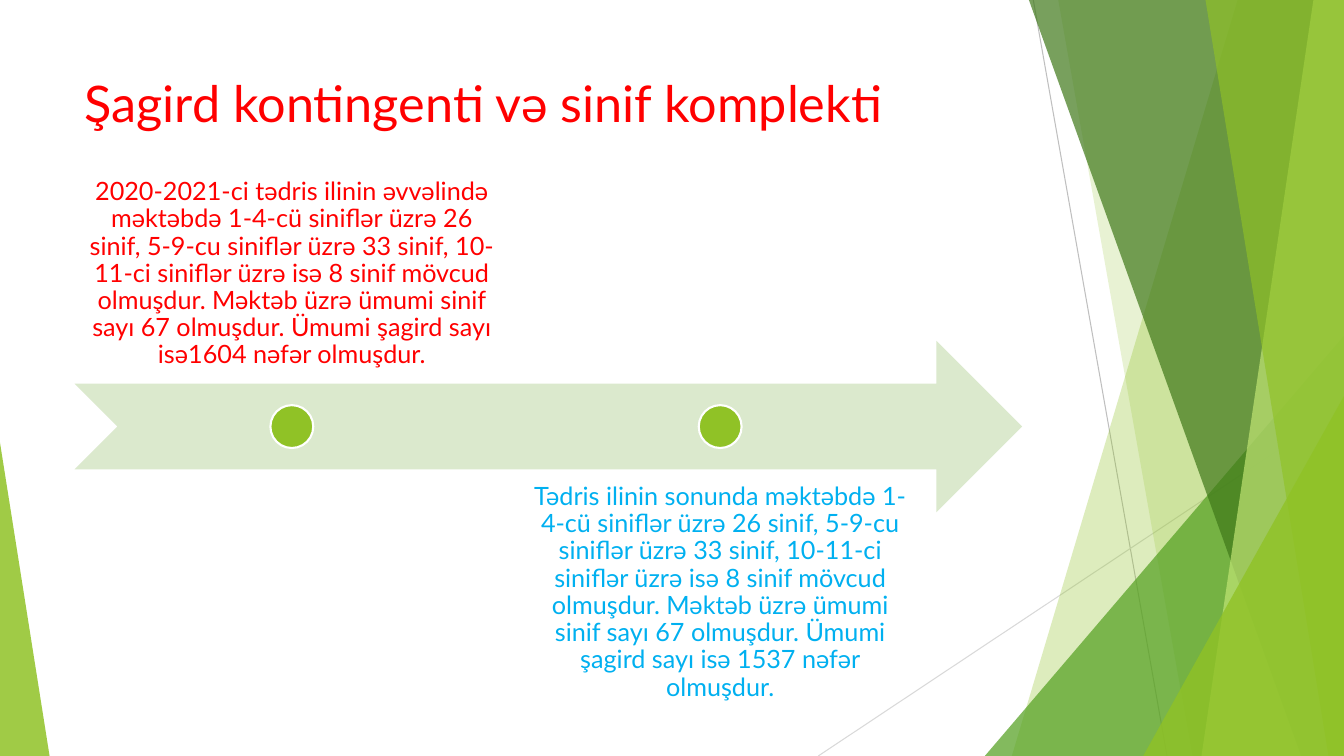
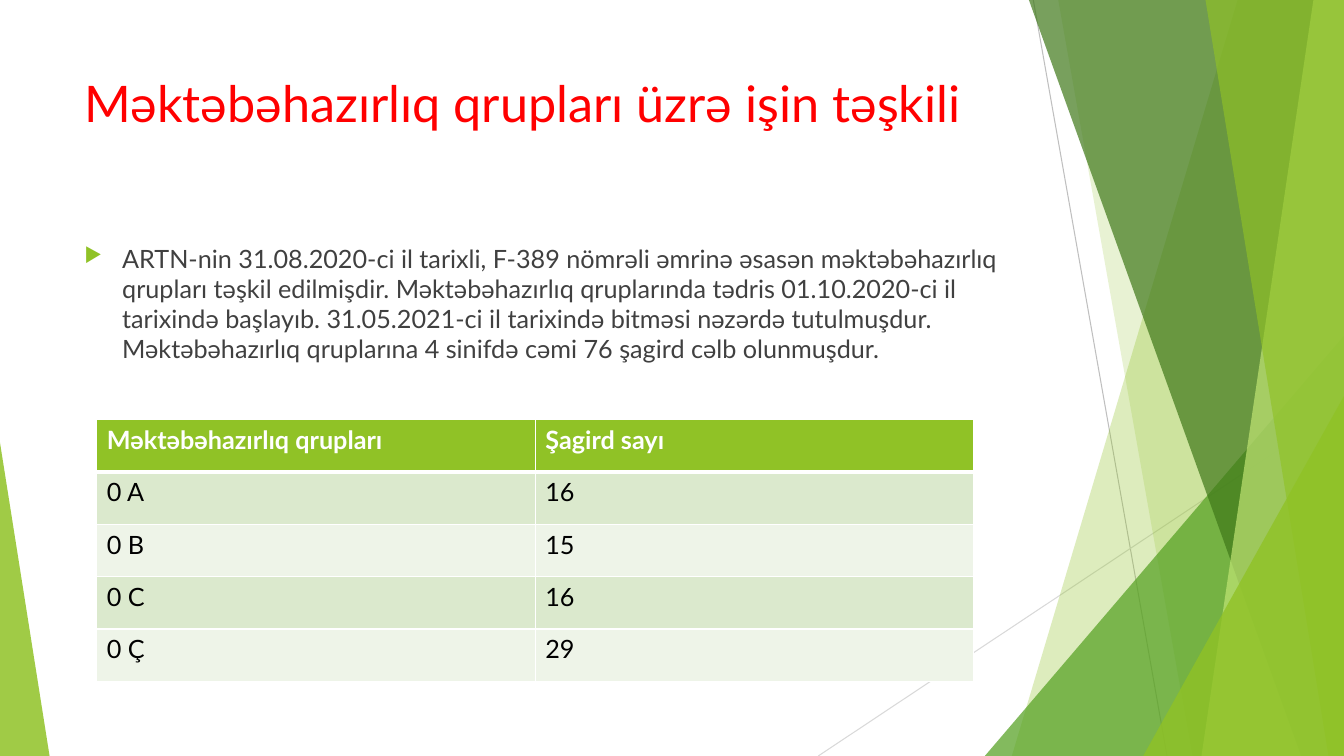
"""Build two school report slides: a class timeline and a table of preparatory groups."""
import dataclasses

import lxml.etree
import pptx
import pptx.dml.color
import pptx.enum.shapes
import pptx.enum.text
import pptx.oxml.ns
import pptx.util

Cm = pptx.util.Cm
Pt = pptx.util.Pt
qn = pptx.oxml.ns.qn
Shape = pptx.enum.shapes.MSO_SHAPE
Anchor = pptx.enum.text.MSO_ANCHOR
Align = pptx.enum.text.PP_ALIGN


@dataclasses.dataclass(frozen=True)
class Theme:
    font: str = "Lato"
    title_size: int = 36
    body_size: int = 18
    red: str = "FF0000"
    blue: str = "00B0F0"
    gray: str = "404040"
    black: str = "000000"
    white: str = "FFFFFF"
    lime: str = "90C226"
    light_lime: str = "C0E474"
    green: str = "54A021"
    dark_green: str = "3F7819"
    pale: str = "DBE9CD"
    paler: str = "EEF4E8"
    ray: str = "BFBFBF"
    light_ray: str = "D9D9D9"


THEME = Theme()
WIDTH, HEIGHT = 33.87, 19.05
MARGIN, CONTENT_WIDTH = 1.88, 23.88


def color(value):
    return pptx.dml.color.RGBColor.from_string(value)


def add_element(parent, tag, **attributes):
    return lxml.etree.SubElement(parent, qn(tag), attributes)


def write(frame, text, *, size=THEME.body_size, ink=THEME.black, bold=False,
          align=None, spacing=None, bullet=None):
    paragraph = frame.paragraphs[0]
    if bullet:
        properties = paragraph._p.get_or_add_pPr()
        indent = Cm(0.95)
        properties.set("marL", str(indent))
        properties.set("indent", str(-indent))
        bullet_color = add_element(properties, "a:buClr")
        add_element(bullet_color, "a:srgbClr", val=THEME.lime)
        add_element(properties, "a:buSzPct", val="80000")
        add_element(properties, "a:buChar", char=bullet)
    paragraph.alignment = align
    paragraph.line_spacing = spacing
    run = paragraph.add_run()
    run.text = text
    run.font.name = THEME.font
    run.font.size = Pt(size)
    run.font.bold = bold
    run.font.color.rgb = color(ink)


class Deck:
    def __init__(self):
        self.presentation = pptx.Presentation()
        self.presentation.slide_width = Cm(WIDTH)
        self.presentation.slide_height = Cm(HEIGHT)
        self.slide = None

    def start_slide(self, title):
        layout = self.presentation.slide_layouts[6]
        self.slide = self.presentation.slides.add_slide(layout)
        self.backdrop()
        self.text(title, MARGIN, 1.7, CONTENT_WIDTH, 3.66,
                  size=THEME.title_size, ink=THEME.red)

    def paint(self, shape, fill, opacity=100, outline=None):
        shape.shadow.inherit = False
        shape.fill.solid()
        shape.fill.fore_color.rgb = color(fill)
        if opacity < 100:
            fill_color = shape.element.spPr.find(qn("a:solidFill"))[0]
            add_element(fill_color, "a:alpha", val=str(opacity * 1000))
        if outline:
            shape.line.color.rgb = color(outline)
            shape.line.width = Pt(1.5)
        else:
            shape.line.fill.background()

    def shape(self, kind, left, top, width, height, fill, adjustment=None, **style):
        shape = self.slide.shapes.add_shape(
            kind, Cm(left), Cm(top), Cm(width), Cm(height))
        if adjustment is not None:
            shape.adjustments[0] = adjustment
        self.paint(shape, fill, **style)

    def facet(self, top_left, bottom_left, fill, opacity):
        builder = self.slide.shapes.build_freeform(Cm(top_left), 0)
        corners = ((WIDTH, 0), (WIDTH, HEIGHT), (bottom_left, HEIGHT))
        builder.add_line_segments([(Cm(x), Cm(y)) for x, y in corners], close=True)
        self.paint(builder.convert_to_shape(), fill, opacity)

    def corner(self, width, height, fill, opacity):
        self.shape(Shape.ISOSCELES_TRIANGLE, WIDTH - width, HEIGHT - height,
                   width, height, fill, adjustment=1, opacity=opacity)

    def line(self, start_x, start_y, end_x, end_y, ink):
        connector = self.slide.shapes.add_connector(
            pptx.enum.shapes.MSO_CONNECTOR.STRAIGHT,
            Cm(start_x), Cm(start_y), Cm(end_x), Cm(end_y))
        connector.line.color.rgb = color(ink)
        connector.line.width = Pt(0.75)
        add_element(connector._element.spPr, "a:effectLst")

    def backdrop(self):
        self.line(26.04, 0, 29.41, HEIGHT, THEME.ray)
        self.line(WIDTH, 10.24, 20.62, HEIGHT, THEME.light_ray)
        self.facet(31.19, 25.5, THEME.lime, 30)
        self.facet(26.67, 30.05, THEME.lime, 20)
        self.corner(9.05, 10.59, THEME.green, 72)
        self.facet(25.93, 32.79, THEME.dark_green, 70)
        self.facet(33.1, 30.28, THEME.light_lime, 70)
        self.facet(30.38, 33.48, THEME.lime, 65)
        self.corner(5.06, 9.07, THEME.lime, 80)
        self.shape(Shape.ISOSCELES_TRIANGLE, 0, 11.15, 1.25, HEIGHT - 11.15,
                   THEME.lime, adjustment=0, opacity=85)

    def text(self, text, left, top, width, height, anchor=Anchor.TOP,
             inset=None, **style):
        box = self.slide.shapes.add_textbox(Cm(left), Cm(top), Cm(width), Cm(height))
        frame = box.text_frame
        frame.word_wrap = True
        frame.vertical_anchor = anchor
        if inset is not None:
            frame.margin_left = frame.margin_right = Cm(inset)
            frame.margin_top = frame.margin_bottom = Cm(inset)
        write(frame, text, **style)

    def timeline(self, top, height, captions):
        middle = top + height / 2
        dot = height / 4
        self.shape(Shape.NOTCHED_RIGHT_ARROW, MARGIN, top, CONTENT_WIDTH, height,
                   THEME.pale)
        for text, left, width, ink, above in captions:
            caption_top = middle - dot - height if above else middle + dot
            self.text(text, left, caption_top, width, height,
                      anchor=Anchor.BOTTOM if above else Anchor.TOP,
                      inset=0.36, ink=ink, align=Align.CENTER, spacing=0.9)
            self.shape(Shape.OVAL, left + (width - dot) / 2, middle - dot / 2,
                       dot, dot, THEME.lime, outline=THEME.white)

    def table(self, rows, left, top, column_width, row_height):
        column_count = len(rows[0])
        table = self.slide.shapes.add_table(
            len(rows), column_count, Cm(left), Cm(top),
            Cm(column_width * column_count), Cm(row_height * len(rows))).table
        for column in table.columns:
            column.width = Cm(column_width)
        for row_index, values in enumerate(rows):
            table.rows[row_index].height = Cm(row_height)
            header = row_index == 0
            band = THEME.pale if row_index % 2 else THEME.paler
            for column_index, value in enumerate(values):
                cell = table.cell(row_index, column_index)
                cell.fill.solid()
                cell.fill.fore_color.rgb = color(THEME.lime if header else band)
                write(cell.text_frame, value, bold=header,
                      ink=THEME.white if header else THEME.black)
                self.borders(cell, top=3 if row_index == 1 else 1,
                             bottom=3 if header else 1)

    def borders(self, cell, top, bottom):
        properties = cell._tc.get_or_add_tcPr()
        sides = (("a:lnL", 1), ("a:lnR", 1), ("a:lnT", top), ("a:lnB", bottom))
        for index, (tag, width) in enumerate(sides):
            border = add_element(properties, tag, w=str(Pt(width)))
            fill = add_element(border, "a:solidFill")
            add_element(fill, "a:srgbClr", val=THEME.white)
            properties.insert(index, border)


def main():
    deck = Deck()

    deck.start_slide("Şagird kontingenti və sinif komplekti")
    deck.timeline(8.59, 4.32, [
        ("2020-2021-ci tədris ilinin əvvəlində məktəbdə 1-4-cü siniflər üzrə 26 sinif, "
         "5-9-cu siniflər üzrə 33 sinif, 10-11-ci siniflər üzrə isə 8 sinif mövcud "
         "olmuşdur. Məktəb üzrə ümumi sinif sayı 67 olmuşdur. Ümumi şagird sayı "
         "isə1604 nəfər olmuşdur.", MARGIN, 10.95, THEME.red, True),
        ("Tədris ilinin sonunda məktəbdə 1-4-cü siniflər üzrə 26 sinif, 5-9-cu "
         "siniflər üzrə 33 sinif, 10-11-ci siniflər üzrə isə 8 sinif mövcud olmuşdur. "
         "Məktəb üzrə ümumi sinif sayı 67 olmuşdur. Ümumi şagird sayı isə 1537 nəfər "
         "olmuşdur.", 12.93, 10.44, THEME.blue, False),
    ])

    deck.start_slide("Məktəbəhazırlıq qrupları üzrə işin təşkili")
    deck.text(
        "ARTN-nin 31.08.2020-ci il tarixli, F-389 nömrəli əmrinə əsasən "
        "məktəbəhazırlıq qrupları təşkil edilmişdir. Məktəbəhazırlıq qruplarında "
        "tədris 01.10.2020-ci il tarixində başlayıb. 31.05.2021-ci il tarixində "
        "bitməsi nəzərdə tutulmuşdur. Məktəbəhazırlıq qruplarına 4 sinifdə cəmi 76 "
        "şagird cəlb olunmuşdur.",
        MARGIN, 6, CONTENT_WIDTH, 10.77, ink=THEME.gray, bullet="▶")
    deck.table([
        ("Məktəbəhazırlıq qrupları", "Şagird sayı"),
        ("0 A", "16"),
        ("0 B", "15"),
        ("0 C", "16"),
        ("0 Ç", "29"),
    ], 2.44, 10.57, 11.05, 1.32)

    deck.presentation.save("out.pptx")


if __name__ == "__main__":
    main()
